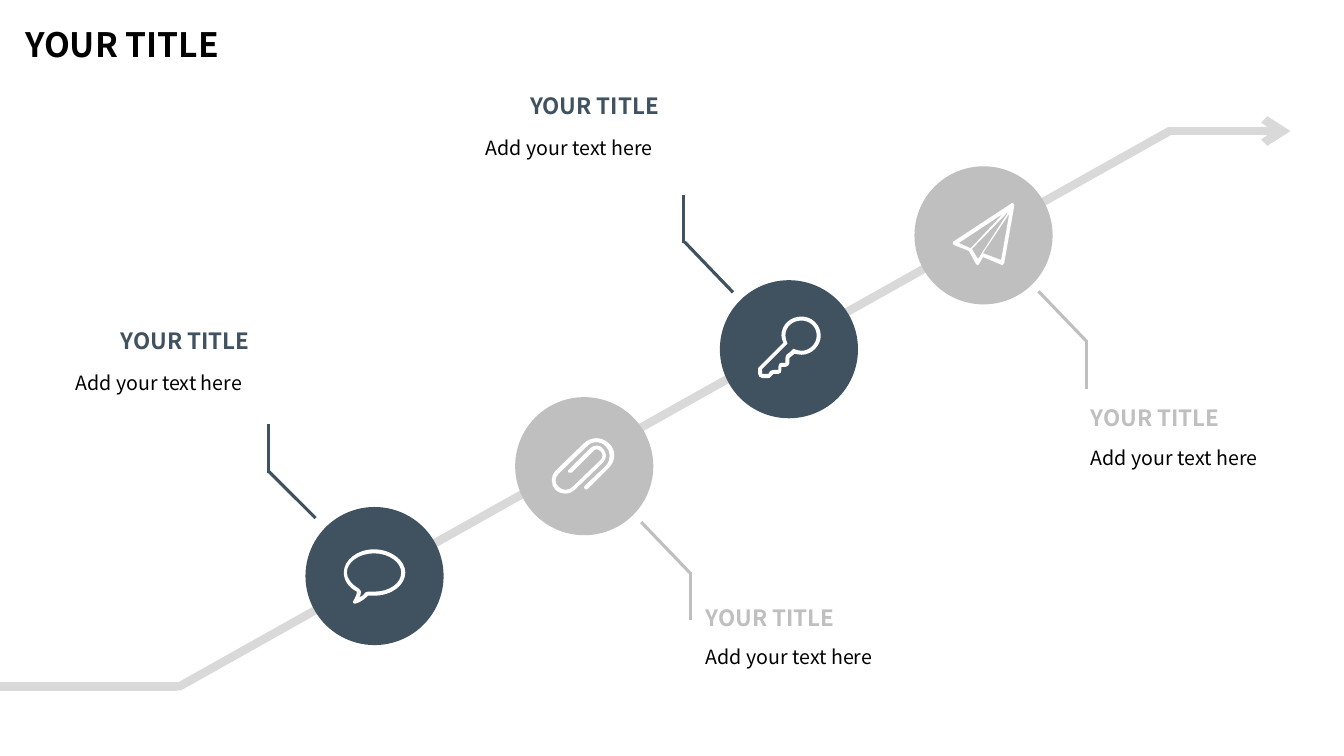
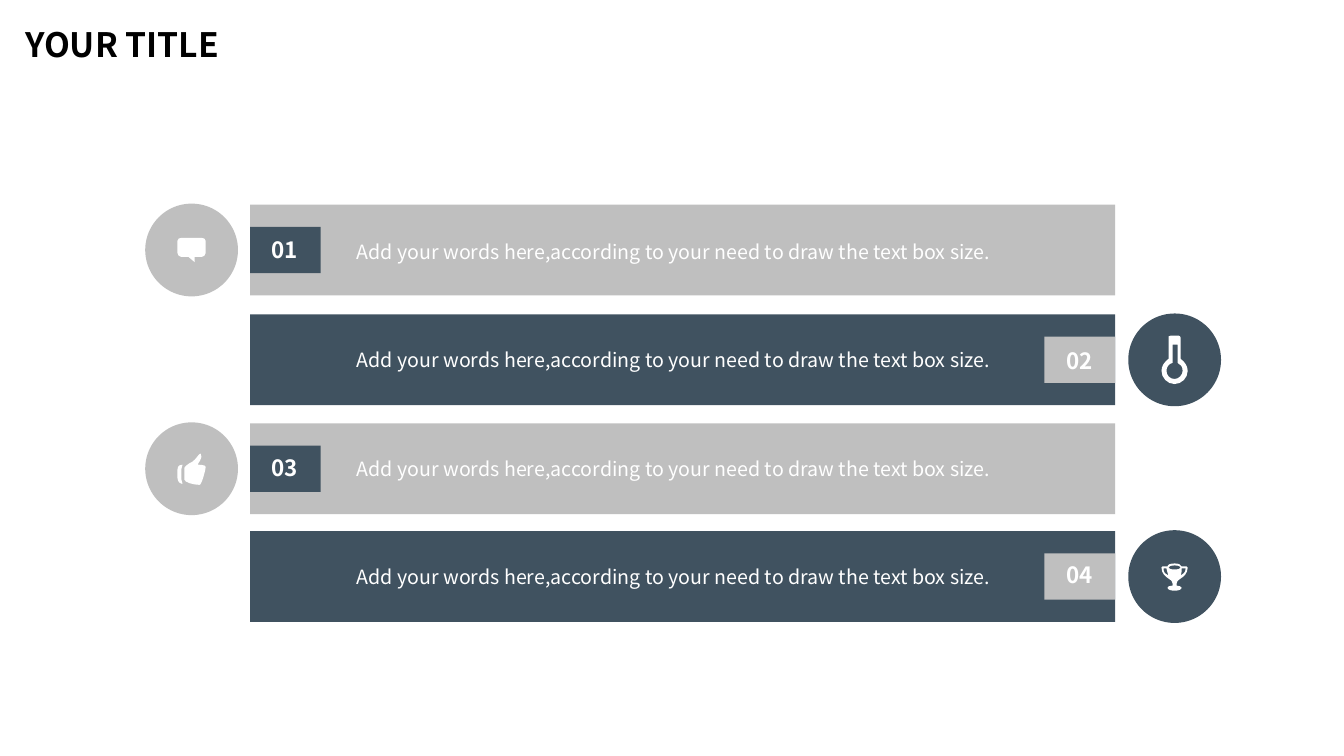
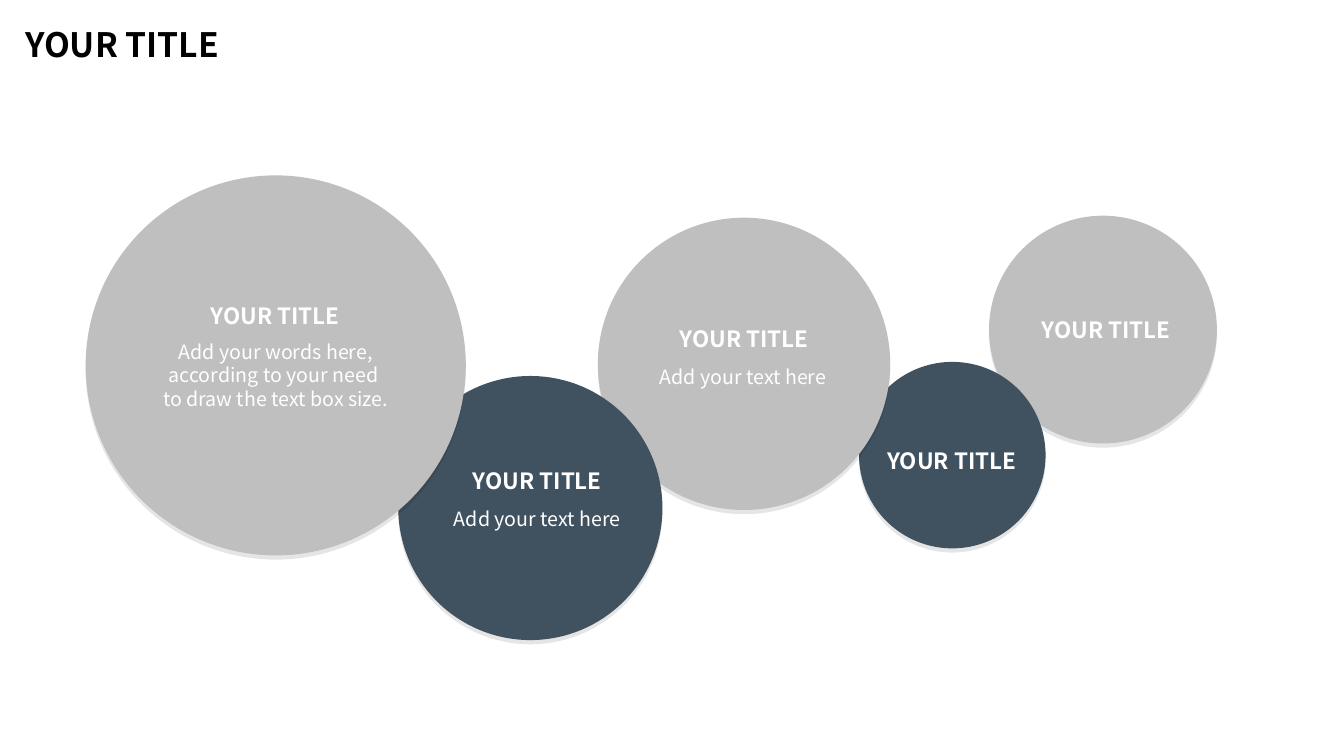
from dataclasses import dataclass
from typing import Any

from lxml import etree
from pptx import Presentation
from pptx import util as u
from pptx.dml.color import RGBColor
from pptx.enum import shapes, text
from pptx.oxml import ns

BLACK = RGBColor(0x00, 0x00, 0x00)
WHITE = RGBColor(0xFF, 0xFF, 0xFF)
SLATE = RGBColor(0x40, 0x52, 0x60)
SILVER = RGBColor(0xBF, 0xBF, 0xBF)
PALE = RGBColor(0xD9, 0xD9, 0xD9)

FACE = "Noto Sans CJK SC"
TITLE_FONT = {"name": FACE, "size": u.Pt(24), "bold": True}
HEAD_FONT = {"name": FACE, "size": u.Pt(16), "bold": True}
BODY_FONT = {"name": FACE, "size": u.Pt(14), "bold": False}

LEFT = {"alignment": text.PP_ALIGN.LEFT}
CENTER = {"alignment": text.PP_ALIGN.CENTER}
HEAD_LEFT = LEFT | {"line_spacing": 0.9}
HEAD_CENTER = CENTER | {"line_spacing": 0.9}
BADGE_PARA = HEAD_CENTER | {"space_before": u.Pt(10)}
NOTE_PARA = CENTER | {"line_spacing": 1.2, "space_before": u.Pt(2.8)}

GROW = {"word_wrap": True, "vertical_anchor": text.MSO_ANCHOR.TOP,
        "auto_size": text.MSO_AUTO_SIZE.SHAPE_TO_FIT_TEXT}
FIXED = GROW | {"auto_size": text.MSO_AUTO_SIZE.NONE}
MIDDLE = FIXED | {"vertical_anchor": text.MSO_ANCHOR.MIDDLE}

HEADING = "YOUR TITLE"
SHORT_TEXT = "Add your text here"
LONG_TEXT = "Add your words here,according to your need to draw the text box size."
WRAPPED_TEXT = "Add your words here,\naccording to your need \nto draw the text box size."

OVAL = shapes.MSO_SHAPE.OVAL
RECT = shapes.MSO_SHAPE.RECTANGLE
COORDS = {"M": 2, "L": 2, "C": 6}

Point = tuple[float, float]
Box = tuple[float, float, float, float]

PAPERCLIP = """
M6.04 4.4 C5.97 4.33 5.86 4.33 5.79 4.4 L5.51 4.67 C5.46 4.72 5.46 4.81 5.51 4.86
5.57 4.91 5.65 4.91 5.7 4.86 L5.98 4.59 C6.02 4.55 6.02 4.49 5.98 4.45
5.95 4.41 5.89 4.41 5.85 4.45 L5.64 4.66 C5.63 4.67 5.63 4.68 5.64 4.69
5.65 4.69 5.66 4.69 5.67 4.69 L5.88 4.48 C5.9 4.45 5.93 4.45 5.96 4.48
5.98 4.5 5.98 4.54 5.96 4.56 L5.68 4.83 C5.64 4.87 5.58 4.87 5.54 4.83
5.5 4.8 5.5 4.74 5.54 4.7 L5.82 4.43 C5.87 4.37 5.96 4.37 6.01 4.43
6.06 4.48 6.06 4.56 6.01 4.62 L5.8 4.82 C5.79 4.83 5.79 4.84 5.8 4.85
5.81 4.86 5.82 4.86 5.83 4.85 L6.04 4.64 C6.11 4.57 6.11 4.46 6.04 4.4"""
PAPER_PLANE = """
M9.93 2.58 L9.77 2.52 C9.76 2.51 9.76 2.51 9.75 2.51 L10.01 2.12
M9.64 2.47 L10.01 2.09 9.7 2.57
M9.51 2.41 L9.95 2.12 9.63 2.46 9.62 2.46
M10.05 2.02 C10.05 2.01 10.05 2.01 10.04 2.01 10.04 2.01 10.03 2.01 10.03 2.02
L9.45 2.4 C9.45 2.4 9.45 2.41 9.45 2.42 9.45 2.43 9.45 2.43 9.46 2.43
L9.61 2.49 9.68 2.62 C9.68 2.62 9.69 2.63 9.7 2.63 9.7 2.63 9.71 2.62 9.71 2.62
L9.75 2.55 9.94 2.63 9.95 2.63 C9.95 2.63 9.95 2.63 9.95 2.62
9.96 2.62 9.96 2.62 9.96 2.61 L10.06 2.04 C10.06 2.03 10.06 2.02 10.05 2.02"""
SPEECH = """
M3.71 5.87 C3.7 5.87 3.68 5.87 3.66 5.87 L3.65 5.87 C3.64 5.87 3.63 5.88 3.62 5.88
3.62 5.89 3.59 5.92 3.56 5.93 3.57 5.92 3.58 5.9 3.58 5.88 L3.58 5.87
C3.58 5.86 3.57 5.85 3.56 5.84 3.49 5.8 3.44 5.74 3.44 5.68
3.44 5.58 3.56 5.49 3.71 5.49 3.86 5.49 3.98 5.58 3.98 5.68
3.98 5.79 3.86 5.87 3.71 5.87
M3.71 5.45 C3.54 5.45 3.41 5.56 3.41 5.68 3.41 5.76 3.46 5.83 3.54 5.87
3.54 5.91 3.51 5.95 3.5 5.97 3.5 5.98 3.51 5.99 3.52 5.99
3.58 5.98 3.64 5.92 3.65 5.91 3.67 5.91 3.69 5.91 3.71 5.91
3.88 5.91 4.02 5.81 4.02 5.68 4.02 5.56 3.88 5.45 3.71 5.45"""
KEY = """
M7.95 3.48 C7.92 3.48 7.89 3.47 7.87 3.46 L7.86 3.47 7.84 3.49 7.8 3.52
C7.8 3.53 7.79 3.54 7.79 3.55 L7.79 3.6 7.75 3.6 C7.73 3.6 7.72 3.61 7.72 3.64
L7.72 3.67 7.67 3.67 C7.66 3.67 7.65 3.68 7.64 3.68 L7.62 3.71 7.56 3.71
7.56 3.66 7.79 3.43 7.81 3.41 C7.8 3.38 7.79 3.36 7.79 3.33
7.79 3.24 7.86 3.18 7.95 3.18 8.03 3.18 8.1 3.24 8.1 3.33
8.1 3.41 8.03 3.48 7.95 3.48
M7.95 3.14 C7.84 3.14 7.75 3.22 7.75 3.33 7.75 3.35 7.76 3.38 7.77 3.4
L7.54 3.63 C7.53 3.64 7.52 3.64 7.52 3.65 L7.52 3.71
C7.52 3.73 7.54 3.75 7.56 3.75 L7.62 3.75 C7.63 3.75 7.64 3.75 7.64 3.74
L7.67 3.71 7.72 3.71 C7.74 3.71 7.75 3.69 7.75 3.67 L7.75 3.64 7.79 3.64
C7.81 3.64 7.83 3.62 7.83 3.6 L7.83 3.55 7.88 3.51
C7.9 3.51 7.92 3.52 7.95 3.52 8.05 3.52 8.14 3.43 8.14 3.33
8.14 3.22 8.05 3.14 7.95 3.14"""
THERMOMETER = """
M11.65 3.76 C11.6 3.76 11.57 3.72 11.57 3.68 11.57 3.64 11.59 3.61 11.63 3.6
L11.63 3.42 11.68 3.42 11.68 3.6 C11.71 3.61 11.73 3.64 11.73 3.68
11.73 3.72 11.69 3.76 11.65 3.76
M11.71 3.56 L11.71 3.35 C11.71 3.34 11.7 3.33 11.69 3.33 L11.61 3.33
C11.59 3.33 11.59 3.34 11.59 3.35 L11.59 3.56 C11.55 3.59 11.52 3.63 11.52 3.68
11.52 3.75 11.58 3.81 11.65 3.81 11.72 3.81 11.78 3.75 11.78 3.68
11.78 3.63 11.75 3.59 11.71 3.56"""
CHAT = """
M2 2.36 L1.8 2.36 C1.78 2.36 1.76 2.37 1.76 2.39 L1.76 2.51
C1.76 2.53 1.78 2.55 1.8 2.55 L1.87 2.55 1.93 2.6 1.93 2.55 2 2.55
C2.02 2.55 2.04 2.53 2.04 2.51 L2.04 2.39 C2.04 2.37 2.02 2.36 2 2.36"""
THUMB = """
M1.81 4.61 C1.8 4.61 1.76 4.61 1.76 4.66 L1.76 4.74
C1.76 4.79 1.8 4.8 1.81 4.8 1.82 4.8 1.8 4.79 1.8 4.76 L1.8 4.65
C1.8 4.62 1.82 4.61 1.81 4.61
M1.96 4.61 C1.96 4.6 2.02 4.54 1.99 4.5 1.98 4.49 1.95 4.55 1.91 4.58
1.88 4.59 1.83 4.63 1.83 4.64 L1.83 4.76 C1.83 4.78 1.91 4.81 1.98 4.81
2 4.81 2.04 4.66 2.04 4.63 2.04 4.61 1.96 4.61 1.96 4.61"""
TROPHY = """
M11.54 5.64 L11.57 5.64 C11.58 5.67 11.58 5.7 11.59 5.71 11.56 5.7 11.54 5.68 11.54 5.64
M11.65 5.61 C11.69 5.61 11.71 5.62 11.71 5.63 11.71 5.64 11.69 5.65 11.65 5.65
11.61 5.65 11.59 5.64 11.59 5.63 11.59 5.62 11.61 5.61 11.65 5.61
M11.71 5.71 C11.72 5.7 11.72 5.67 11.72 5.64 L11.76 5.64
C11.76 5.68 11.73 5.7 11.71 5.71
M11.67 5.79 C11.67 5.77 11.68 5.76 11.71 5.74 11.74 5.72 11.78 5.69 11.78 5.63
11.78 5.62 11.78 5.62 11.77 5.62 L11.72 5.62
C11.71 5.6 11.69 5.59 11.65 5.59 11.61 5.59 11.58 5.6 11.58 5.62 L11.53 5.62
C11.52 5.62 11.52 5.62 11.52 5.63 11.52 5.69 11.56 5.72 11.59 5.74
11.62 5.76 11.63 5.77 11.63 5.79 L11.63 5.81 C11.6 5.81 11.58 5.82 11.58 5.83
11.58 5.85 11.61 5.86 11.65 5.86 11.69 5.86 11.72 5.85 11.72 5.83
11.72 5.82 11.69 5.81 11.67 5.81"""


@dataclass
class Milestone:
    """A circle on the arrow with its elbow line and caption."""
    circle: Point
    color: RGBColor
    start: Point
    bend: Point
    stem: Point
    rise: float
    heading: Point
    note: Point
    icon: str


@dataclass
class Row:
    """A numbered bar with a round icon at one end."""
    number: str
    top: float
    number_top: float
    words_top: float
    on_left: bool
    icon: str


@dataclass
class Label:
    """Centred text inside a bubble."""
    words: str
    box: Box
    font: dict[str, Any]
    para: dict[str, Any]


MILESTONES = [
    Milestone((7.14, 2.78), SLATE, (7.27, 2.9), (6.79, 2.4), (6.78, 2.41), -0.48,
              (5.16, 0.89), (4.72, 1.3), KEY),
    Milestone((5.11, 3.94), SILVER, (6.36, 5.18), (6.84, 5.68), (6.85, 5.67), 0.48,
              (6.9, 5.97), (6.9, 6.35), PAPERCLIP),
    Milestone((9.07, 1.65), SILVER, (10.3, 2.89), (10.78, 3.39), (10.78, 3.38), 0.48,
              (10.72, 3.99), (10.72, 4.37), PAPER_PLANE),
    Milestone((3.03, 5.03), SLATE, (3.13, 5.14), (2.67, 4.68), (2.66, 4.69), -0.48,
              (1.1, 3.23), (0.65, 3.63), SPEECH),
]
ROWS = [Row("01", 2.03, 2.33, 2.33, True, CHAT),
        Row("02", 3.12, 3.43, 3.4, False, THERMOMETER),
        Row("03", 4.2, 4.49, 4.48, True, THUMB),
        Row("04", 5.27, 5.55, 5.56, False, TROPHY)]
BUBBLES = [(9.81, 2.14, 2.26, SILVER), (8.52, 3.59, 1.85, SLATE),
           (5.93, 2.16, 2.9, SILVER), (3.95, 3.73, 2.62, SLATE),
           (0.85, 1.74, 3.77, SILVER)]
LABELS = [
    Label(HEADING, (1.17, 2.98, 3.12, 0.34), HEAD_FONT, HEAD_CENTER),
    Label(HEADING, (4.2, 4.62, 2.26, 0.34), HEAD_FONT, HEAD_CENTER),
    Label(HEADING, (6.19, 3.21, 2.38, 0.34), HEAD_FONT, HEAD_CENTER),
    Label(HEADING, (8.66, 4.42, 1.56, 0.34), HEAD_FONT, HEAD_CENTER),
    Label(HEADING, (10.19, 3.12, 1.56, 0.34), HEAD_FONT, HEAD_CENTER),
    Label(WRAPPED_TEXT, (1.29, 3.32, 2.89, 0.81), BODY_FONT, CENTER),
    Label(SHORT_TEXT, (4.2, 4.93, 2.26, 0.38), BODY_FONT, NOTE_PARA),
    Label(SHORT_TEXT, (6.18, 3.52, 2.38, 0.38), BODY_FONT, NOTE_PARA),
]


def apply(target: Any, values: dict[str, Any]) -> None:
    """Set each named attribute on the target."""
    for name, value in values.items():
        setattr(target, name, value)


def write(sp: Any, words: str, color: RGBColor, font: dict[str, Any],
          para: dict[str, Any], frame: dict[str, Any]) -> None:
    """Fill a shape with formatted text, one paragraph a line."""
    tf = sp.text_frame
    tf.text = words
    apply(tf, frame)
    for p in tf.paragraphs:
        apply(p, para)
        for r in p.runs:
            apply(r.font, font)
            r.font.color.rgb = color


def add_text(s: Any, box: Box, words: str, color: RGBColor, font: dict[str, Any],
             para: dict[str, Any], frame: dict[str, Any] = GROW) -> None:
    """Add a text box."""
    write(s.shapes.add_textbox(*map(u.Inches, box)), words, color, font, para, frame)


def paint(sp: Any, color: RGBColor) -> Any:
    """Give a shape a flat fill without line or shadow."""
    sp.shadow.inherit = False
    sp.fill.solid()
    sp.fill.fore_color.rgb = color
    sp.line.fill.background()
    return sp


def add_block(s: Any, kind: Any, box: Box, color: RGBColor) -> Any:
    """Add a flat preset shape."""
    return paint(s.shapes.add_shape(kind, *map(u.Inches, box)), color)


def add_line(s: Any, start: Point, end: Point, color: RGBColor, width: float,
             cap: str = "flat", arrow: bool = False) -> None:
    """Add a straight line, with an arrowhead at its end on request."""
    cx = s.shapes.add_connector(shapes.MSO_CONNECTOR.STRAIGHT,
                                *map(u.Inches, (*start, *end)))
    cx.line.color.rgb = color
    cx.line.width = u.Pt(width)
    props = cx.element.spPr
    ln = props.find(ns.qn("a:ln"))
    ln.set("cap", cap)
    if arrow:
        etree.SubElement(ln, ns.qn("a:tailEnd"), type="arrow")
    etree.SubElement(props, ns.qn("a:effectLst"))


def trace(outline: str) -> tuple[list[list[Point]], str]:
    """Return the contours of an outline and its line and curve commands."""
    contours: list[list[Point]] = []
    command, commands, numbers = "M", "", []
    for token in outline.split():
        if token[0] in COORDS:
            command = token[0]
        numbers.append(u.Inches(float(token.lstrip("MLC"))))
        if len(numbers) == COORDS[command]:
            points = list(zip(numbers[::2], numbers[1::2]))
            numbers = []
            if command == "M":
                contours.append(points)
            else:
                contours[-1] += points
                commands += command
    return contours, commands


def add_icon(s: Any, outline: str) -> None:
    """Draw a white icon, joining each curve's three points into one segment."""
    (first, *others), commands = trace(outline)
    builder = s.shapes.build_freeform(*first[0])
    builder.add_line_segments(first[1:], close=True)
    for contour in others:
        builder.move_to(*contour[0])
        builder.add_line_segments(contour[1:], close=True)
    sp = paint(builder.convert_to_shape(), WHITE)
    segments = iter(list(sp.element.iter(ns.qn("a:lnTo"))))
    for command in commands:
        segment = next(segments)
        if command == "C":
            segment.tag = ns.qn("a:cubicBezTo")
            for extra in (next(segments), next(segments)):
                segment.append(extra[0])
                extra.getparent().remove(extra)


def add_slide(prs: Any, title_width: float = 2.35) -> Any:
    """Add a slide with the shared title."""
    s = prs.slides.add_slide(prs.slide_layouts[5])
    sp = s.shapes.title
    apply(sp, {"left": u.Inches(0.15), "top": u.Inches(0.19),
               "width": u.Inches(title_width), "height": u.Inches(0.5)})
    write(sp, HEADING, BLACK, TITLE_FONT, LEFT, GROW)
    return s


def build_arrow(s: Any) -> None:
    """Draw the rising arrow with its milestones."""
    add_line(s, (11.6, 1.3), (1.78, 6.81), PALE, 6, "rnd")
    add_line(s, (11.6, 1.3), (12.8, 1.3), PALE, 6, "rnd", arrow=True)
    add_line(s, (0, 6.81), (1.75, 6.81), PALE, 6, "rnd")
    for m in MILESTONES:
        add_block(s, OVAL, (*m.circle, 1.37, 1.37), m.color)
        add_line(s, m.start, m.bend, m.color, 2.25)
        add_line(s, m.stem, (m.stem[0], m.stem[1] + m.rise), m.color, 2.25)
        add_text(s, (*m.heading, 1.98, 0.61), HEADING, m.color, HEAD_FONT, HEAD_LEFT, FIXED)
        add_text(s, (*m.note, 2.31, 0.34), SHORT_TEXT, BLACK, BODY_FONT, LEFT)
        add_icon(s, m.icon)


def build_rows(s: Any) -> None:
    """Draw the numbered bars."""
    for row in ROWS:
        color, accent = (SILVER, SLATE) if row.on_left else (SLATE, SILVER)
        circle_x, badge_x = (1.44, 2.48) if row.on_left else (11.19, 10.36)
        add_block(s, OVAL, (circle_x, row.top - 0.01, 0.92, 0.92), color)
        add_block(s, RECT, (2.48, row.top, 8.58, 0.9), color)
        add_block(s, RECT, (badge_x, row.top + 0.22, 0.7, 0.46), accent)
        add_text(s, (badge_x + 0.01, row.number_top, 0.67, 0.33), row.number, WHITE,
                 HEAD_FONT, BADGE_PARA, MIDDLE)
        add_text(s, (3.44, row.words_top, 6.81, 0.34), LONG_TEXT, WHITE, BODY_FONT, LEFT)
        add_icon(s, row.icon)


def build_bubbles(s: Any) -> None:
    """Draw the overlapping bubbles and their labels."""
    for x, y, size, color in BUBBLES:
        sp = add_block(s, OVAL, (x, y, size, size), color)
        effects = sp.element.spPr.find(ns.qn("a:effectLst"))
        shadow = etree.SubElement(effects, ns.qn("a:outerShdw"), blurRad="0",
                                  dist=str(u.Pt(3)), dir="5400000", rotWithShape="0")
        tone = etree.SubElement(shadow, ns.qn("a:srgbClr"), val=str(BLACK))
        etree.SubElement(tone, ns.qn("a:alpha"), val="10000")
    for label in LABELS:
        add_text(s, label.box, label.words, WHITE, label.font, label.para)


def main() -> None:
    """Build and save the presentation."""
    prs = Presentation()
    prs.slide_width, prs.slide_height = u.Inches(13.33), u.Inches(7.5)
    build_arrow(add_slide(prs))
    build_rows(add_slide(prs))
    build_bubbles(add_slide(prs, 2.64))
    prs.save("out.pptx")


if __name__ == "__main__":
    main()
